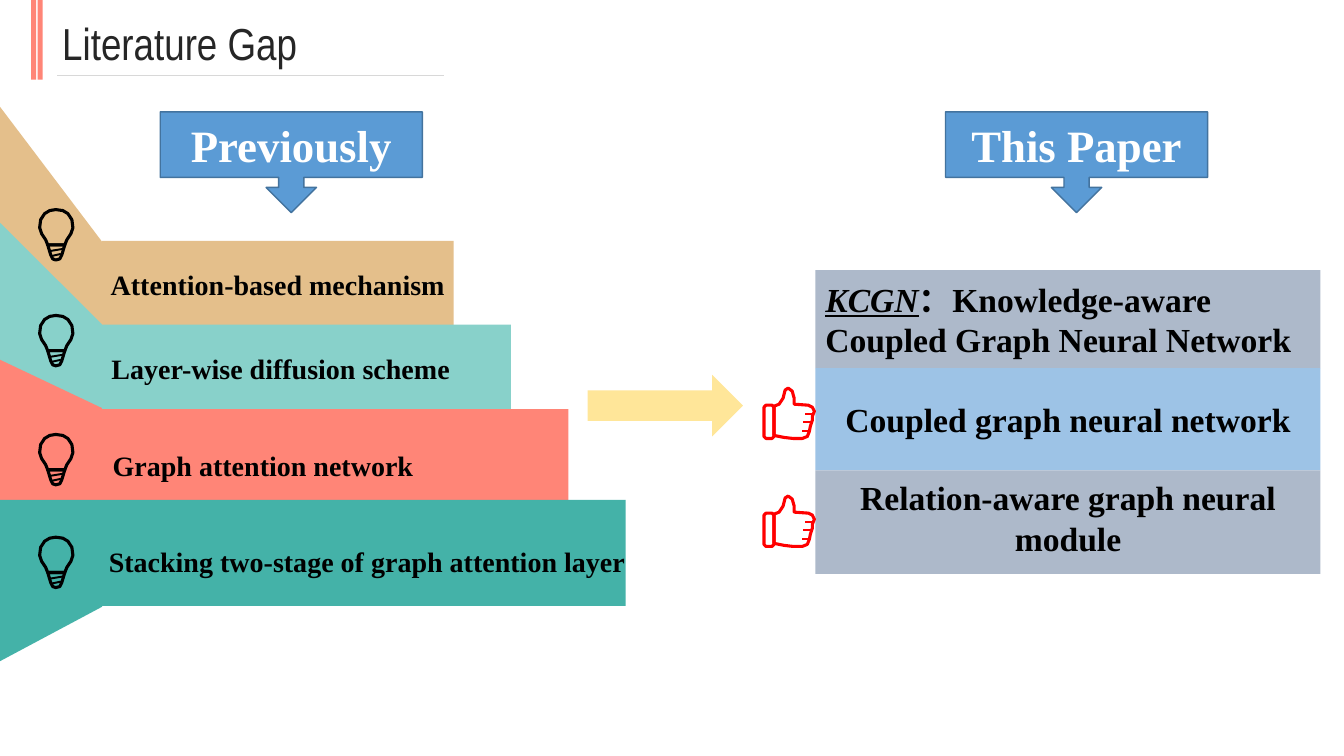
from dataclasses import dataclass

from pptx import Presentation
from pptx.dml.color import RGBColor
from pptx.enum.shapes import MSO_CONNECTOR, MSO_SHAPE
from pptx.enum.text import MSO_ANCHOR, PP_ALIGN
from pptx.oxml.ns import qn
from pptx.util import Pt
from lxml.etree import SubElement


@dataclass(frozen=True)
class Theme:
    sand: str = "E4BF8B"
    mint: str = "88D1CA"
    coral: str = "FF8577"
    teal: str = "44B2A8"
    slate: str = "ADB9CA"
    sky: str = "9DC3E6"
    blue: str = "5B9BD5"
    blue_edge: str = "43739E"
    yellow: str = "FFE699"
    red: str = "FF0000"
    black: str = "000000"
    white: str = "FFFFFF"
    title_ink: str = "262626"
    rule: str = "D8D8D8"
    title_font: str = "Arial Narrow"
    body_font: str = "Times New Roman"
    heading_size: int = 32
    panel_size: int = 24
    label_size: int = 20


@dataclass(frozen=True)
class Box:
    left: float
    top: float
    width: float
    height: float

    def inner(self, left, top, width, height):
        return Box(self.left + left, self.top + top, width, height)

    def lengths(self):
        return [Pt(value) for value in (self.left, self.top, self.width, self.height)]


@dataclass(frozen=True)
class Icon:
    outlines: tuple
    details: tuple


THEME = Theme()
ICON_UNIT = 0.72
BULB = Icon(
    ("10 37, 8 32, 4 26, 2 20, 3 12, 7 6, 12 3, 18 2, 25 3, 30 6, 34 12, 35 20, 33 26, 29 32, 27 37",
     "10 37, 27 37, 24 47, 22 51, 18 52, 15 51, 13 47"),
    ("13 43, 25 41", "14 48, 23 46"),
)
THUMB = Icon(
    ("12 20, 17 18, 21 12, 23 4, 26 2, 30 5, 32 12, 32 18, 46 19, 50 21, 52 25, 50 30, 50 34,"
     "48 40, 47 45, 45 50, 40 52, 31 52, 22 51, 12 49",
     "4 19, 10 19, 12 21, 12 50, 10 52, 4 52, 2 50, 2 21"),
    ("43 28, 51 28", "41 36, 50 36", "40 45, 47 45"),
)


def paint(shape, fill, edge=None):
    shape.shadow.inherit = False
    shape.fill.solid()
    shape.fill.fore_color.rgb = RGBColor.from_string(fill)
    if edge:
        shape.line.color.rgb = RGBColor.from_string(edge)
        shape.line.width = Pt(1)
    else:
        shape.line.fill.background()


def add_block(slide, box, fill, kind=MSO_SHAPE.RECTANGLE, edge=None):
    shape = slide.shapes.add_shape(kind, *box.lengths())
    paint(shape, fill, edge)
    return shape


def write(shape, texts, size, color=THEME.black, font=THEME.body_font, bold=True,
          align=PP_ALIGN.LEFT, anchor=MSO_ANCHOR.MIDDLE):
    frame = shape.text_frame
    frame.word_wrap = True
    frame.vertical_anchor = anchor
    paragraph = frame.paragraphs[0]
    paragraph.alignment = align
    for text in texts:
        run = paragraph.add_run()
        run.text = text
        run.font.name = font
        run.font.size = Pt(size)
        run.font.bold = bold
        run.font.color.rgb = RGBColor.from_string(color)
    return paragraph


def add_contours(slide, contours, close=True):
    scaled = [[(Pt(x), Pt(y)) for x, y in contour] for contour in contours]
    builder = slide.shapes.build_freeform(*scaled[0][0], scale=1.0)
    for index, contour in enumerate(scaled):
        if index:
            builder.move_to(*contour[0])
        builder.add_line_segments(contour[1:], close=close)
    return builder.convert_to_shape()


def add_icon(slide, left, top, icon, color):
    for strokes, close, width in ((icon.outlines, True, 2.2), (icon.details, False, 1.4)):
        contours = []
        for stroke in strokes:
            points = [[int(number) for number in pair.split()] for pair in stroke.split(",")]
            contours.append([(left + x * ICON_UNIT, top + y * ICON_UNIT) for x, y in points])
        shape = add_contours(slide, contours, close)
        shape.shadow.inherit = False
        shape.fill.background()
        shape.line.color.rgb = RGBColor.from_string(color)
        shape.line.width = Pt(width)


def add_title(slide, box):
    for left in (0, 4.5):
        add_block(slide, box.inner(left, 0, 3.6, box.height), THEME.coral)
    title = slide.shapes.add_textbox(*box.inner(15.1, 7.9, 304.6, 46).lengths())
    write(title, ["Literature Gap"], THEME.heading_size, THEME.title_ink, THEME.title_font,
          bold=False, anchor=MSO_ANCHOR.TOP)
    height = Pt(box.top + 53.8)
    rule = slide.shapes.add_connector(MSO_CONNECTOR.STRAIGHT, Pt(box.left + 18.7), height,
                                      Pt(box.left + box.width), height)
    rule.line.color.rgb = RGBColor.from_string(THEME.rule)
    rule.line.width = Pt(0.75)
    SubElement(rule._element.spPr, qn("a:effectLst"))


def add_callout(slide, box, text):
    callout = add_block(slide, box, THEME.blue, MSO_SHAPE.DOWN_ARROW_CALLOUT, THEME.blue_edge)
    write(callout, [text], THEME.heading_size, THEME.white, align=PP_ALIGN.CENTER)


def add_previous_work(slide, box):
    fold, first_width, width_step = 73, 251, 41
    bands = (
        ("Attention-based mechanism", THEME.sand, (0, 94.3, 158.4, 96.5),
         (95.8, 62.6), (72, 110.9), 72),
        ("Layer-wise diffusion scheme", THEME.mint, (82.8, 189.4, 225.4, 155.5),
         (155.5, 65.5), (72.5, 171.4), 147.6),
        ("Graph attention network", THEME.coral, (180.7, 281.5, 281.5, 215.3),
         (216, 65.5), (73.4, 240.5), 232.6),
        ("Stacking two-stage of graph attention layer", THEME.teal, (280.8, 396, 357.1, 280.8),
         (280.8, 75.6), (70.6, 308.9), 306),
    )
    for text, fill, heights, bar, label, bulb in bands:
        corners = zip((0, 0, fold, fold), heights)
        wing = add_contours(slide, [[(box.left + x, box.top + y) for x, y in corners]])
        paint(wing, fill)
    for index, (text, fill, heights, bar, label, bulb) in enumerate(bands):
        top, height = bar
        width = first_width + index * width_step
        add_block(slide, box.inner(fold, top, width, height), fill)
        caption = slide.shapes.add_textbox(*box.inner(*label, width + 20, 31.7).lengths())
        write(caption, [text], THEME.label_size, anchor=MSO_ANCHOR.TOP)
        add_icon(slide, box.left + 26.9, box.top + bulb, BULB, THEME.black)


def add_this_paper(slide, box):
    panels = (
        (["KCGN", "：Knowledge-aware Coupled Graph Neural Network"],
         THEME.slate, 0, 70, PP_ALIGN.LEFT, 3.6),
        (["Coupled graph neural network"], THEME.sky, 70, 73, PP_ALIGN.CENTER, 3.6),
        (["Relation-aware graph neural module"], THEME.slate, 143, 74, PP_ALIGN.CENTER, 10),
    )
    for texts, fill, top, height, align, inset in panels:
        panel = add_block(slide, box.inner(0, top, box.width, height), fill)
        panel.text_frame.margin_bottom = Pt(inset)
        paragraph = write(panel, texts, THEME.panel_size, align=align)
        if len(texts) > 1:
            acronym = paragraph.runs[0].font
            acronym.italic = acronym.underline = True
    for top in (82.8, 159.9):
        add_icon(slide, box.left - 38.2, box.top + top, THUMB, THEME.red)


presentation = Presentation()
presentation.slide_width, presentation.slide_height = Pt(960), Pt(540)
slide = presentation.slides.add_slide(presentation.slide_layouts[6])
add_previous_work(slide, Box(0, 76.3, 447, 396))
add_title(slide, Box(22.3, 0, 295.2, 56.9))
add_block(slide, Box(419.8, 267.8, 110.9, 43.9), THEME.yellow, MSO_SHAPE.RIGHT_ARROW)
add_this_paper(slide, Box(582.5, 193, 360.7, 217))
for left, text in ((114.5, "Previously"), (675.4, "This Paper")):
    add_callout(slide, Box(left, 79.9, 187.2, 72), text)
presentation.save("out.pptx")
